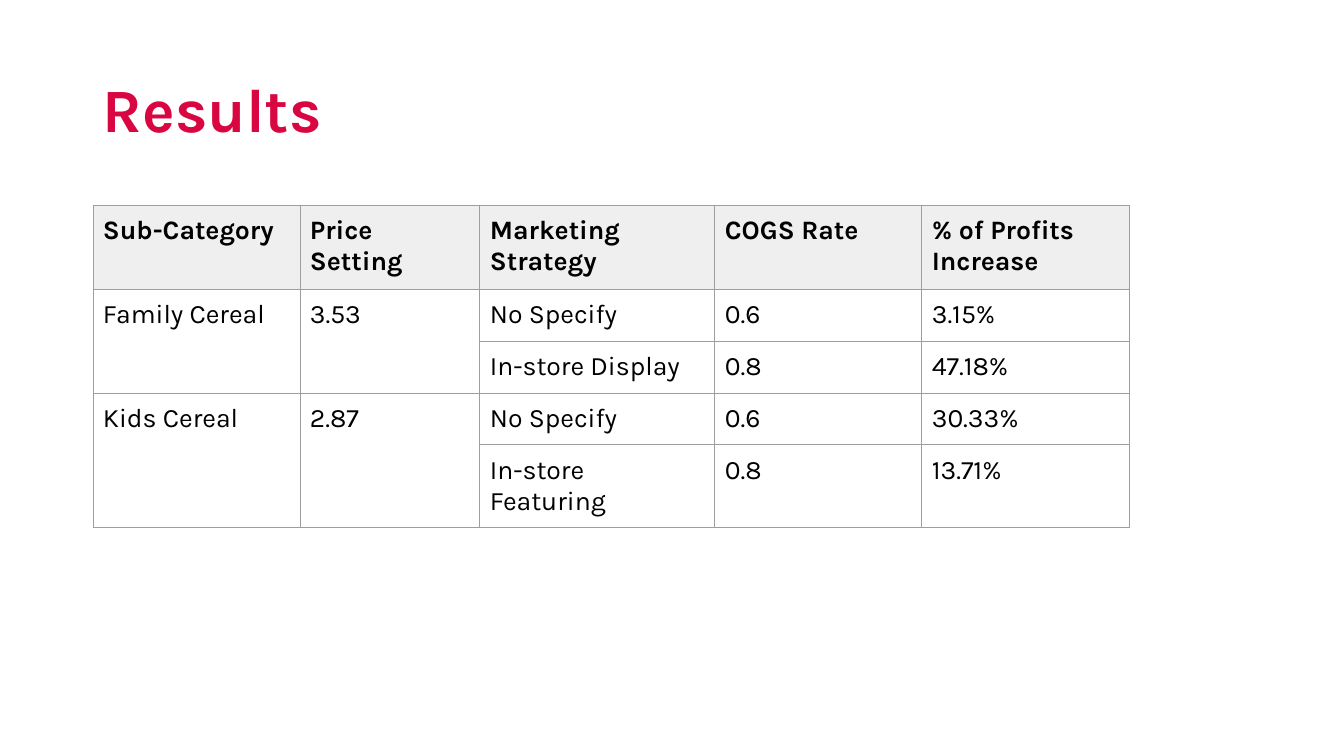
from lxml.etree import SubElement
from pptx import Presentation
from pptx.dml.color import RGBColor
from pptx.enum.text import MSO_ANCHOR
from pptx.oxml.ns import qn
from pptx.util import Emu, Pt

THEME = {
    "font": "Karla",
    "title": RGBColor.from_string("D80641"),
    "text": RGBColor.from_string("000000"),
    "header": RGBColor.from_string("EFEFEF"),
    "border": "9E9E9E",
    "title_size": Pt(44),
    "table_size": Pt(19),
    "border_width": Pt(0.75),
}


def px(n):
    return Emu(round(n * 914400 / 100.8))


def style(p, size, color, bold):
    p.font.name = THEME["font"]
    p.font.size = size
    p.font.color.rgb = color
    p.font.bold = bold


prs = Presentation()
prs.slide_width, prs.slide_height = px(1344), px(756)
slide = prs.slides.add_slide(prs.slide_layouts[6])

# Results table
ROWS = [
    ["Sub-Category", "Price Setting", "Marketing Strategy", "COGS Rate", "% of Profits Increase"],
    ["Family Cereal", "3.53", "No Specify", "0.6", "3.15%"],
    ["", "", "In-store Display", "0.8", "47.18%"],
    ["Kids Cereal", "2.87", "No Specify", "0.6", "30.33%"],
    ["", "", "In-store Featuring", "0.8", "13.71%"],
]
WIDTHS = [207, 180, 235, 207, 208]
HEIGHTS = [84, 52, 52, 52, 82]

table = slide.shapes.add_table(
    len(ROWS), len(WIDTHS), px(93), px(205), px(sum(WIDTHS)), px(sum(HEIGHTS))
).table
table.first_row = table.horz_banding = False
for column, width in zip(table.columns, WIDTHS):
    column.width = px(width)
for row, height in zip(table.rows, HEIGHTS):
    row.height = px(height)

for i, values in enumerate(ROWS):
    for j, value in enumerate(values):
        cell = table.cell(i, j)
        cell.margin_left = cell.margin_right = px(10)
        cell.margin_top = cell.margin_bottom = px(10)
        p = cell.text_frame.paragraphs[0]
        p.text = value
        style(p, THEME["table_size"], THEME["text"], i == 0)

        # Borders come before the fill in the cell properties
        tcPr = cell._tc.get_or_add_tcPr()
        for side in ("lnL", "lnR", "lnT", "lnB"):
            ln = SubElement(tcPr, qn(f"a:{side}"), w=str(THEME["border_width"]))
            SubElement(SubElement(ln, qn("a:solidFill")), qn("a:srgbClr"), val=THEME["border"])
        if i == 0:
            cell.fill.solid()
            cell.fill.fore_color.rgb = THEME["header"]
        else:
            cell.fill.background()

# Each cereal and its price span two strategy rows
for i in (1, 3):
    for j in (0, 1):
        table.cell(i, j).merge(table.cell(i + 1, j))

# Title
tf = slide.shapes.add_textbox(px(93), px(40), px(1159), px(146)).text_frame
tf.word_wrap = True
tf.vertical_anchor = MSO_ANCHOR.MIDDLE
p = tf.paragraphs[0]
p.text = "Results"
p.line_spacing = 0.9
style(p, THEME["title_size"], THEME["title"], True)

prs.save("out.pptx")
